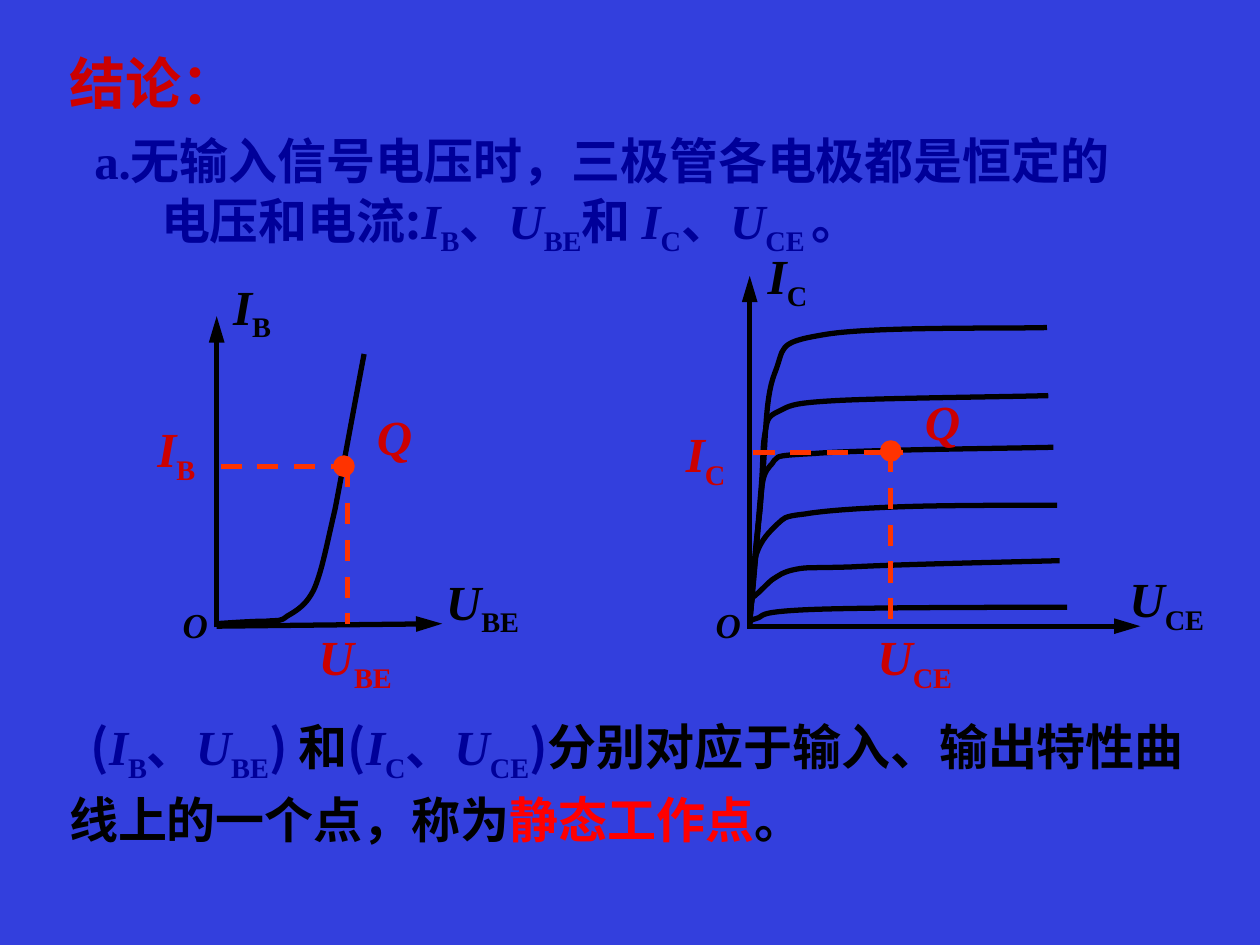
from dataclasses import dataclass
from typing import NamedTuple

from lxml.etree import SubElement
from pptx import Presentation
from pptx.dml.color import RGBColor
from pptx.enum.dml import MSO_LINE
from pptx.enum.shapes import MSO_CONNECTOR as Connector, MSO_SHAPE as Preset
from pptx.enum.text import MSO_ANCHOR as Anchor, PP_ALIGN as Align
from pptx.oxml.ns import qn
from pptx.util import Cm, Pt

COLORS = {"background": "333FDD", "ink": "000000", "navy": "000099",
          "crimson": "CC0000", "red": "FF0000", "orange": "FF3300"}
SERIF, SANS, HAN = "Times New Roman", "Arial", "Noto Sans CJK SC"
STROKE = Pt(3)
LABEL_SIZES = {"O": (0.4, 0.43), "Q": (0.48, 0.57), "IB": (0.52, 0.57), "IC": (0.54, 0.57),
               "UBE": (0.83, 0.57), "UCE": (0.85, 0.57)}


class Point(NamedTuple):
    x: float
    y: float


class Run(NamedTuple):
    text: str
    color: str
    font: str = HAN
    italic: bool = False
    subscript: bool = False
    size: float = 28


class Layout(NamedTuple):
    spacing: float | Pt = 1.0
    margin: float = 0
    indent: float = 0


@dataclass
class Plot:
    current: str
    voltage: str
    axes: list[tuple[Point, Point]]
    curves: list[list[tuple[float, float]]]
    operating_point: Point
    guides: list[tuple[Point, Point]]
    current_axis_label: Point
    voltage_axis_label: Point
    origin_label: Point
    point_label: Point
    current_label: Point
    voltage_label: Point


def inches(value: float) -> int:
    """Convert a layout coordinate in inches to a length."""
    return Cm(value * 2.54)


def rgb(name: str) -> RGBColor:
    """Look up a palette colour."""
    return RGBColor.from_string(COLORS[name])


def quantity(symbol: str, index: str, color: str) -> list[Run]:
    """Return an italic symbol with its subscript."""
    return [Run(symbol, color, SERIF, True), Run(index, color, SERIF, subscript=True)]


def pair(first: str, second: str, color: str) -> list[Run]:
    """Return a current and a voltage parted by a Chinese comma."""
    return [*quantity("I", first, color), Run("、", color), *quantity("U", second, color)]


def add_runs(paragraph, runs: list[Run]) -> None:
    """Append formatted runs to a paragraph."""
    for part in runs:
        run = paragraph.add_run()
        run.text = part.text
        formats = {"name": part.font, "size": Pt(part.size), "bold": True, "italic": part.italic}
        for attribute, value in formats.items():
            setattr(run.font, attribute, value)
        run.font.color.rgb = rgb(part.color)
        properties = run.font._element
        SubElement(properties, qn("a:ea")).set("typeface", HAN)
        if part.subscript:
            properties.set("baseline", "-25000")


def add_text(slide, box: tuple, paragraphs: list[tuple[Layout, list[Run]]],
             anchor=Anchor.MIDDLE, wrap: bool = True, align=Align.LEFT) -> None:
    """Draw a text box of laid-out paragraphs."""
    frame = slide.shapes.add_textbox(*map(inches, box)).text_frame
    frame.word_wrap, frame.vertical_anchor = wrap, anchor
    for number, (layout, runs) in enumerate(paragraphs):
        paragraph = frame.add_paragraph() if number else frame.paragraphs[0]
        paragraph.alignment, paragraph.line_spacing = align, layout.spacing
        properties = paragraph._p.get_or_add_pPr()
        for name, value in {"marL": layout.margin, "indent": layout.indent}.items():
            properties.set(name, str(inches(value)))
        add_runs(paragraph, runs)


def add_label(slide, center: Point, runs: list[Run]) -> None:
    """Draw a short label centred on a point."""
    width, height = LABEL_SIZES["".join(run.text for run in runs)]
    box = (center.x - width / 2, center.y - height / 2, width, height)
    add_text(slide, box, [(Layout(), runs)], wrap=False, align=Align.CENTER)


def add_line(slide, start: Point, end: Point, color: str, arrow: bool) -> None:
    """Draw a solid axis with an arrowhead, or a dashed guide."""
    line = slide.shapes.add_connector(Connector.STRAIGHT, *map(inches, (*start, *end)))
    line.line.color.rgb, line.line.width = rgb(color), STROKE
    properties = line.element.spPr
    if arrow:
        head = SubElement(properties.find(qn("a:ln")), qn("a:tailEnd"))
        for name, value in {"type": "triangle", "w": "med", "len": "lg"}.items():
            head.set(name, value)
    else:
        line.line.dash_style = MSO_LINE.DASH
    SubElement(properties, qn("a:effectLst"))


def add_curve(slide, knots: list) -> None:
    """Draw a smooth characteristic through chained cubic segments."""
    builder = slide.shapes.build_freeform(*map(inches, knots[0]))
    builder.add_line_segments([tuple(map(inches, knot)) for knot in knots[1:]], close=False)
    curve = builder.convert_to_shape()
    outline = next(curve.element.iter(qn("a:path")))
    segments = outline.findall(qn("a:lnTo"))
    for first in range(0, len(segments), 3):
        cubic = SubElement(outline, qn("a:cubicBezTo"))
        for segment in segments[first:first + 3]:
            cubic.append(segment[0])
            outline.remove(segment)
    curve.shadow.inherit = False
    curve.fill.background()
    curve.line.color.rgb, curve.line.width = rgb("ink"), STROKE


def add_plot(slide, plot: Plot) -> None:
    """Draw one characteristic plot with its operating point."""
    for axis in plot.axes:
        add_line(slide, *axis, "ink", True)
    for knots in plot.curves:
        add_curve(slide, knots)
    for guide in plot.guides:
        add_line(slide, *guide, "orange", False)
    size = 0.13
    corner = (value - size / 2 for value in plot.operating_point)
    dot = slide.shapes.add_shape(Preset.OVAL, *map(inches, (*corner, size, size)))
    dot.shadow.inherit = False
    dot.fill.solid()
    dot.fill.fore_color.rgb = dot.line.color.rgb = rgb("orange")
    dot.line.width = STROKE
    add_label(slide, plot.current_axis_label, quantity("I", plot.current, "ink"))
    add_label(slide, plot.voltage_axis_label, quantity("U", plot.voltage, "ink"))
    add_label(slide, plot.origin_label, [Run("O", "ink", SERIF, True, size=20)])
    add_label(slide, plot.point_label, [Run("Q", "crimson", SERIF, True)])
    add_label(slide, plot.current_label, quantity("I", plot.current, "crimson"))
    add_label(slide, plot.voltage_label, quantity("U", plot.voltage, "crimson"))


INPUT = Plot(
    "B", "BE",
    [(Point(1.72, 4.98), Point(1.72, 2.51)), (Point(1.72, 4.97), Point(3.51, 4.95))],
    [[(1.72, 4.95), (1.87, 4.94), (2.02, 4.93), (2.12, 4.93), (2.21, 4.92), (2.22, 4.94),
      (2.28, 4.89), (2.35, 4.85), (2.44, 4.8), (2.5, 4.66), (2.56, 4.51), (2.59, 4.34),
      (2.66, 4.04), (2.72, 3.73), (2.84, 3.07), (2.89, 2.81)]],
    Point(2.73, 3.7),
    [(Point(1.75, 3.7), Point(2.86, 3.7)), (Point(2.76, 3.7), Point(2.76, 4.95))],
    Point(2, 2.46), Point(3.83, 4.8), Point(1.55, 4.96),
    Point(3.13, 3.46), Point(1.4, 3.59), Point(2.82, 5.24))
OUTPUT = Plot(
    "C", "CE",
    [(Point(5.95, 4.97), Point(5.95, 2.19)), (Point(5.93, 4.97), Point(9.05, 4.97))],
    [[(5.95, 4.95), (5.96, 4.94), (5.93, 4.93), (6, 4.91), (6.08, 4.89), (5.98, 4.86),
      (6.39, 4.84), (6.8, 4.82), (8.04, 4.82), (8.47, 4.82)],
     [(5.95, 4.95), (5.95, 4.92), (5.96, 4.8), (5.97, 4.76), (5.97, 4.72), (5.98, 4.75),
      (6, 4.72), (6.03, 4.7), (6.08, 4.64), (6.13, 4.6), (6.18, 4.57), (6.21, 4.54),
      (6.31, 4.52), (6.41, 4.5), (6.4, 4.51), (6.75, 4.5), (7.1, 4.48), (8.06, 4.46),
      (8.41, 4.45)],
     [(5.95, 4.95), (5.96, 4.86), (5.97, 4.54), (6, 4.41), (6.04, 4.28), (6.11, 4.22),
      (6.17, 4.16), (6.23, 4.11), (6.21, 4.1), (6.39, 4.08), (6.56, 4.05), (6.9, 4.03),
      (7.23, 4.02), (7.57, 4.01), (8.15, 4.01), (8.39, 4.01)],
     [(5.95, 4.91), (5.96, 4.77), (6, 4.27), (6.03, 4.07), (6.05, 3.86), (6.04, 3.78),
      (6.11, 3.7), (6.19, 3.62), (6.09, 3.62), (6.46, 3.6), (6.84, 3.57), (7.96, 3.56),
      (8.36, 3.55)],
     [(5.95, 4.91), (5.97, 4.74), (6.02, 4.13), (6.04, 3.89), (6.06, 3.65), (6.05, 3.56),
      (6.07, 3.45), (6.09, 3.35), (6.08, 3.31), (6.17, 3.27), (6.27, 3.22), (6.27, 3.2),
      (6.63, 3.18), (6.99, 3.16), (7.97, 3.15), (8.32, 3.14)],
     [(5.95, 4.95), (5.97, 4.76), (6.02, 4.16), (6.05, 3.83), (6.08, 3.5), (6.07, 3.16),
      (6.15, 2.96), (6.23, 2.76), (6.16, 2.72), (6.52, 2.66), (6.88, 2.59), (7.93, 2.61),
      (8.31, 2.6)]],
    Point(7.07, 3.58),
    [(Point(5.98, 3.59), Point(7.17, 3.59)), (Point(7.07, 3.58), Point(7.07, 5.03))],
    Point(6.25, 2.21), Point(9.26, 4.78), Point(5.78, 4.96),
    Point(7.48, 3.34), Point(5.6, 3.63), Point(7.26, 5.24))


def main() -> None:
    """Build the slide on the static operating point."""
    deck = Presentation()
    deck.slide_width, deck.slide_height = Cm(25.4), Cm(19.05)
    slide = deck.slides.add_slide(deck.slide_layouts[6])
    slide.background.fill.solid()
    slide.background.fill.fore_color.rgb = rgb("background")
    add_text(slide, (0.45, 0.32, 1.75, 0.67),
             [(Layout(), [Run("结论：", "crimson", SANS, size=32)])])
    add_text(slide, (0.56, 0.99, 9.03, 1.04), [
        (Layout(Pt(33.3), 0.09), [Run("a.无输入信号电压时，三极管各电极都是恒定的", "navy", SERIF)]),
        (Layout(Pt(39), 0.62), [
            Run("电压和电流", "navy", SERIF), Run(":", "navy"), *pair("B", "BE", "navy"),
            Run("和 ", "navy"), *pair("C", "CE ", "navy"), Run("。", "navy", SERIF)])], Anchor.TOP)
    for plot in (OUTPUT, INPUT):
        add_plot(slide, plot)
    add_text(slide, (0.45, 5.62, 9.08, 1.13), [(Layout(1.1, indent=0.17), [
        Run("(", "navy"), *pair("B", "BE", "navy"), Run(") ", "navy"), Run("和", "ink"),
        Run("(", "navy"), *pair("C", "CE", "navy"), Run(")", "navy"),
        Run("分别对应于输入、输出特性曲线上的一个点，称为", "ink"),
        Run("静态工作点", "red"), Run("。", "ink")])])
    deck.save("out.pptx")


if __name__ == "__main__":
    main()
